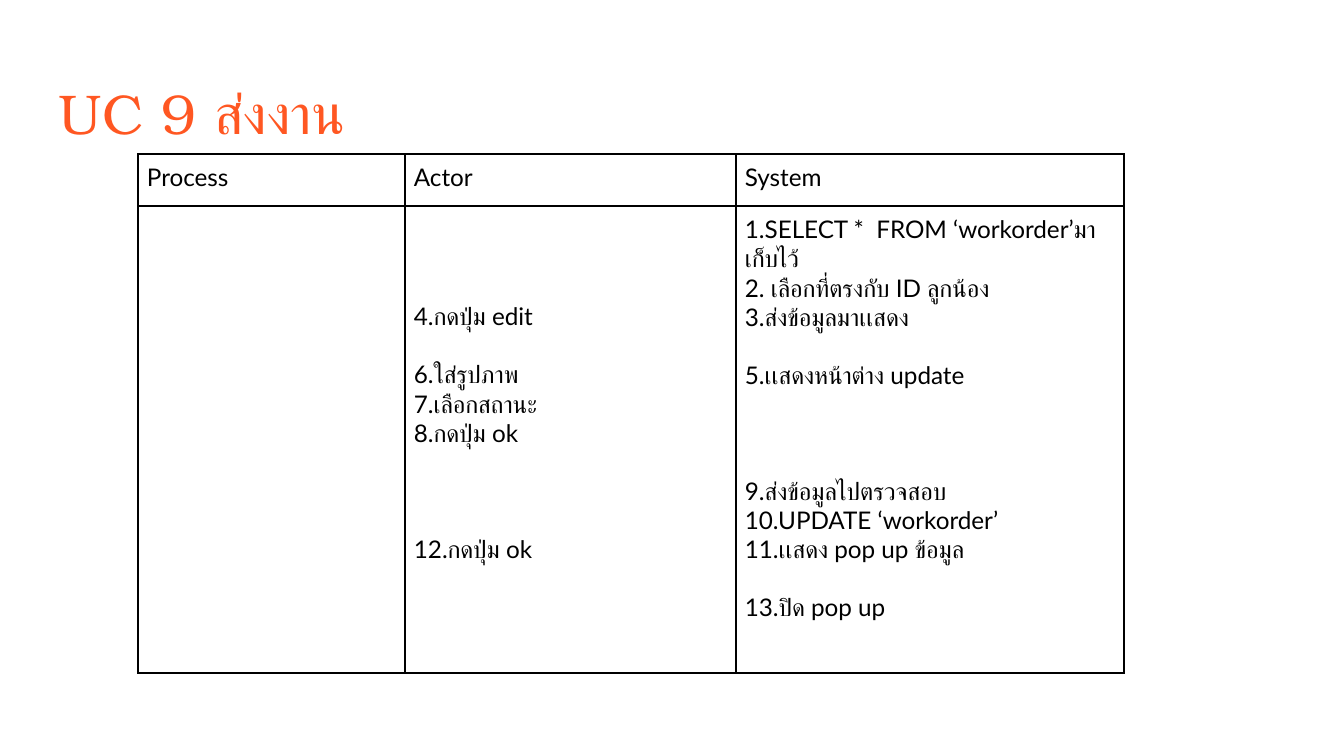
"""Build the use case 9 slide: a title over a process, actor and system table."""
from lxml.etree import SubElement
from pptx import Presentation
from pptx.dml.color import RGBColor
from pptx.oxml.ns import qn
from pptx.util import Emu, Pt

PX = 914400 / 134.4
COLORS = {"title": "FF5722", "text": "000000", "border": "000000"}
INSET, LINE = 9, 29


def px(n):
    return Emu(round(n * PX))


def write(p, text, size=13, font="Lato", color="text", before=0):
    p.space_before = px(before)
    r = p.add_run()
    r.text = text
    r.font.size = Pt(size)
    r.font.name = font
    r.font.color.rgb = RGBColor.from_string(COLORS[color])
    for tag in ("a:ea", "a:cs"):
        SubElement(r.font._element, qn(tag), typeface=font)


prs = Presentation()
prs.slide_width, prs.slide_height = px(1344), px(756)
s = prs.slides.add_slide(prs.slide_layouts[6])

sp = s.shapes.add_textbox(px(46), px(66), px(336), px(485))
tf = sp.text_frame
tf.word_wrap = True
tf.margin_left = tf.margin_right = tf.margin_top = tf.margin_bottom = px(13)
write(tf.paragraphs[0], "UC 9 ส่งงาน", size=30, font="TeX Gyre Bonum", color="title")

cols, rows = [267, 331, 388], [52, 467]
# Each entry holds the number of free lines above it and its text.
cells = [
    [[(0, "Process")], [(0, "Actor")], [(0, "System")]],
    [
        [],
        [
            (3, "4.กดปุ่ม edit"),
            (1, "6.ใส่รูปภาพ"),
            (0, "7.เลือกสถานะ"),
            (0, "8.กดปุ่ม ok"),
            (3, "12.กดปุ่ม ok"),
        ],
        [
            (0, "1.SELECT *  FROM ‘workorder’มาเก็บไว้"),
            (0, "2. เลือกที่ตรงกับ ID ลูกน้อง"),
            (0, "3.ส่งข้อมูลมาเเสดง"),
            (1, "5.เเสดงหน้าต่าง update"),
            (3, "9.ส่งข้อมูลไปตรวจสอบ"),
            (0, "10.UPDATE ‘workorder’"),
            (0, "11.เเสดง pop up ข้อมูล"),
            (1, "13.ปิด pop up"),
        ],
    ],
]

table = s.shapes.add_table(
    len(rows), len(cols), px(138), px(154), px(sum(cols)), px(sum(rows))
).table
table.first_row = table.horz_banding = False
for col, width in zip(table.columns, cols):
    col.width = px(width)
for row, height, entries in zip(table.rows, rows, cells):
    row.height = px(height)
    for cell, lines in zip(row.cells, entries):
        cell.margin_left = cell.margin_right = cell.margin_bottom = px(INSET)
        cell.margin_top = px(INSET + LINE * lines[0][0] if lines else INSET)
        tcPr = cell._tc.get_or_add_tcPr()
        for side in ("a:lnL", "a:lnR", "a:lnT", "a:lnB"):
            ln = SubElement(tcPr, qn(side), w=str(Pt(1)))
            fill = SubElement(ln, qn("a:solidFill"))
            SubElement(fill, qn("a:srgbClr"), val=COLORS["border"])
        cell.fill.background()
        tf = cell.text_frame
        for i, (gap, text) in enumerate(lines):
            p = tf.add_paragraph() if i else tf.paragraphs[0]
            write(p, text, before=LINE * gap if i else 0)

prs.save("out.pptx")
